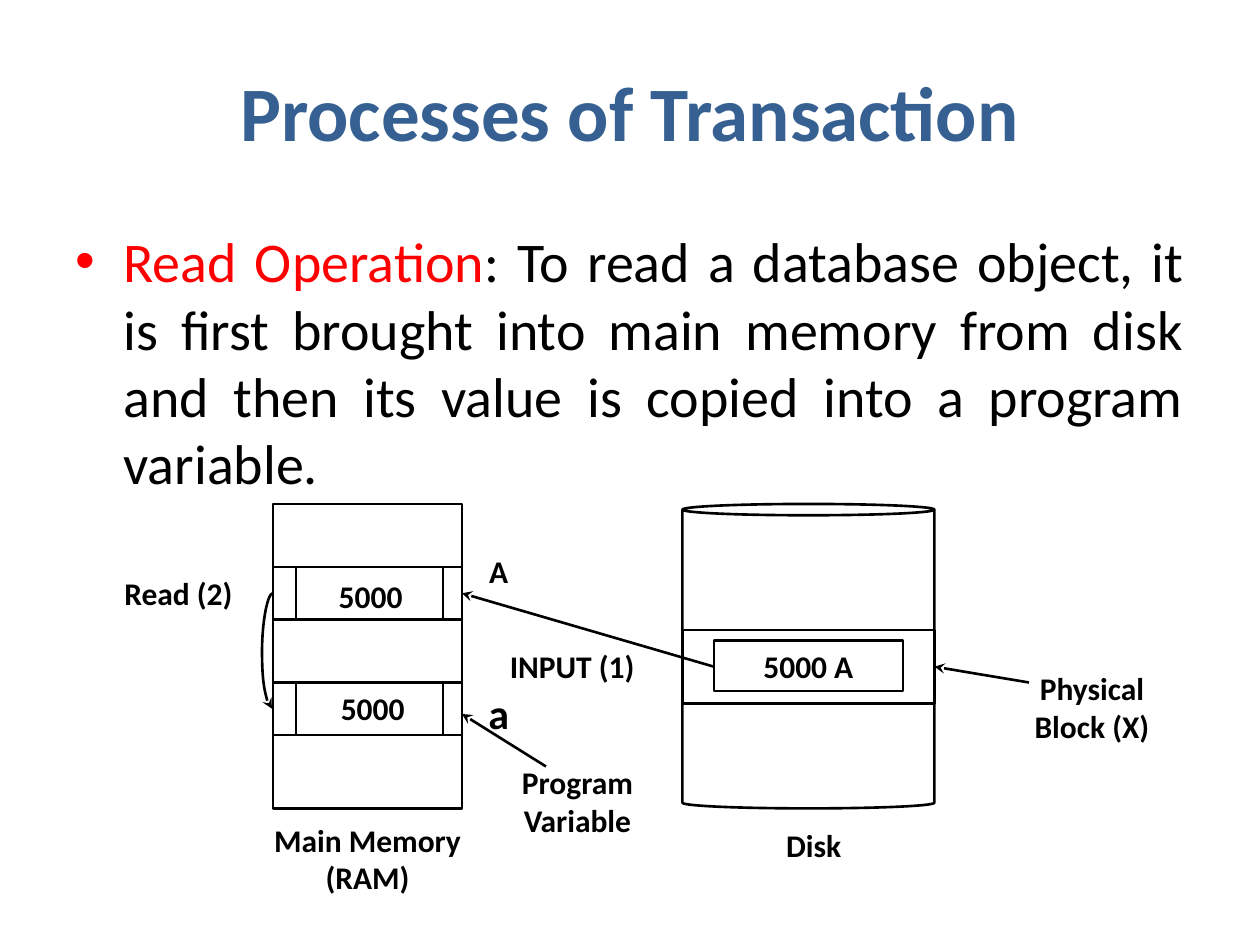
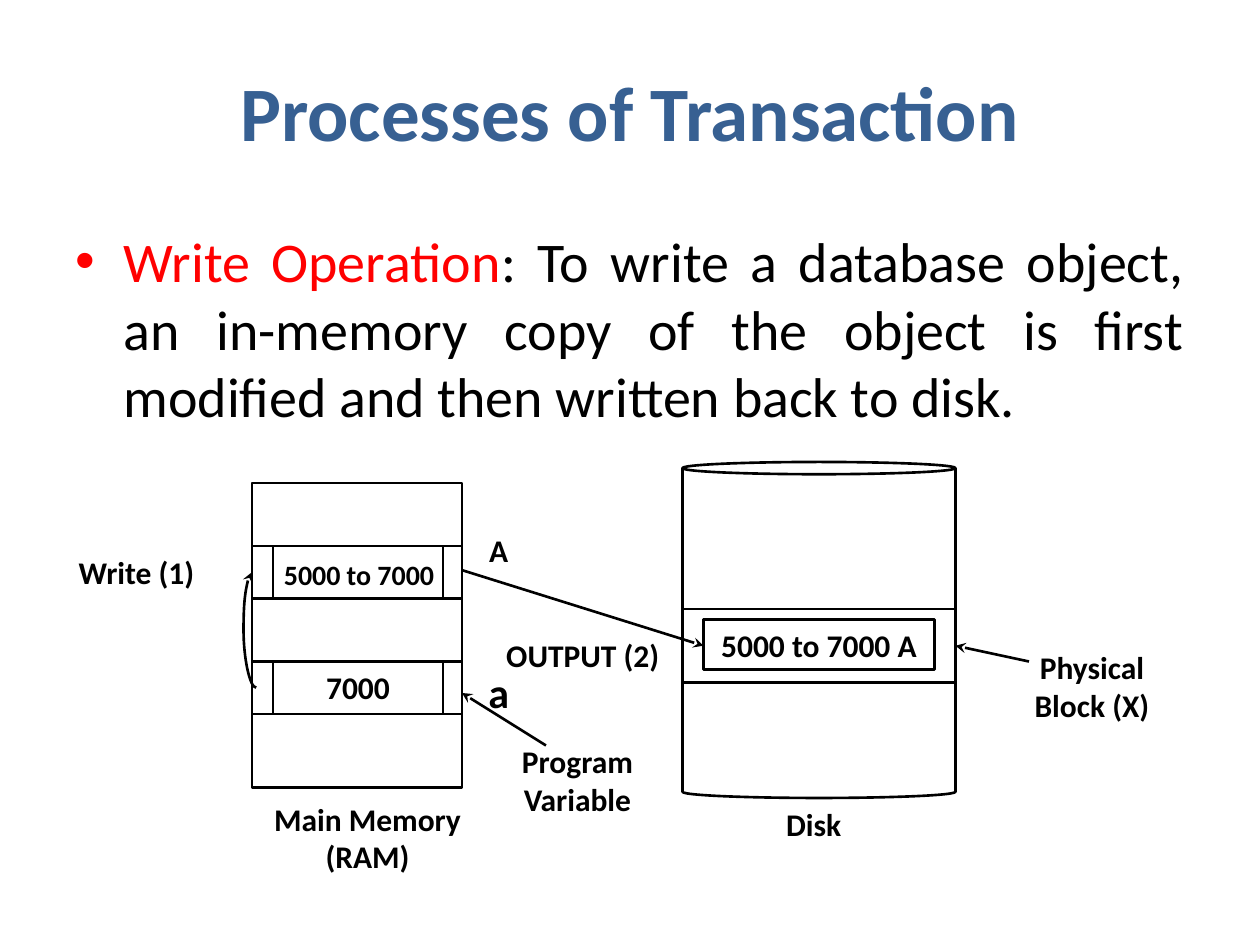
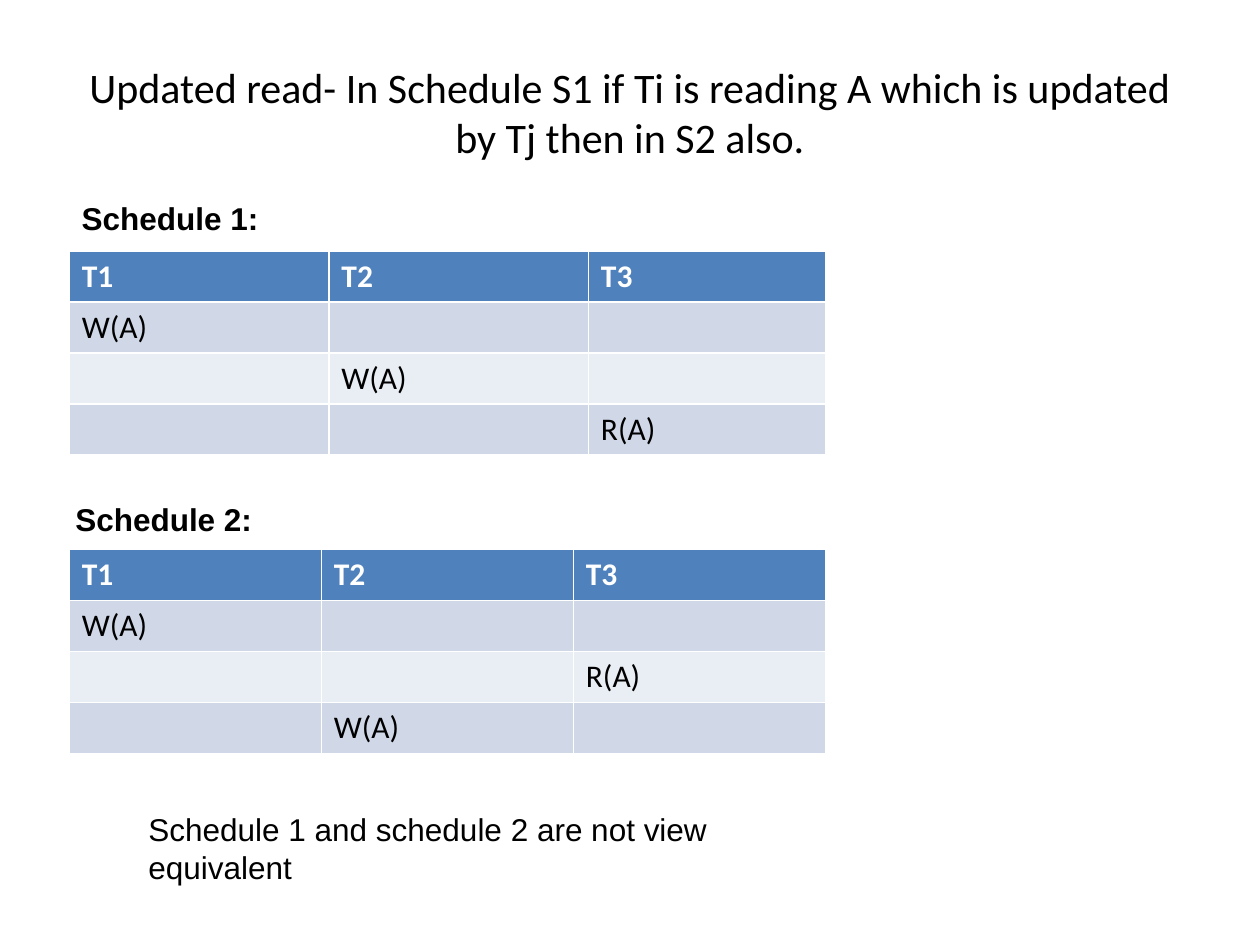
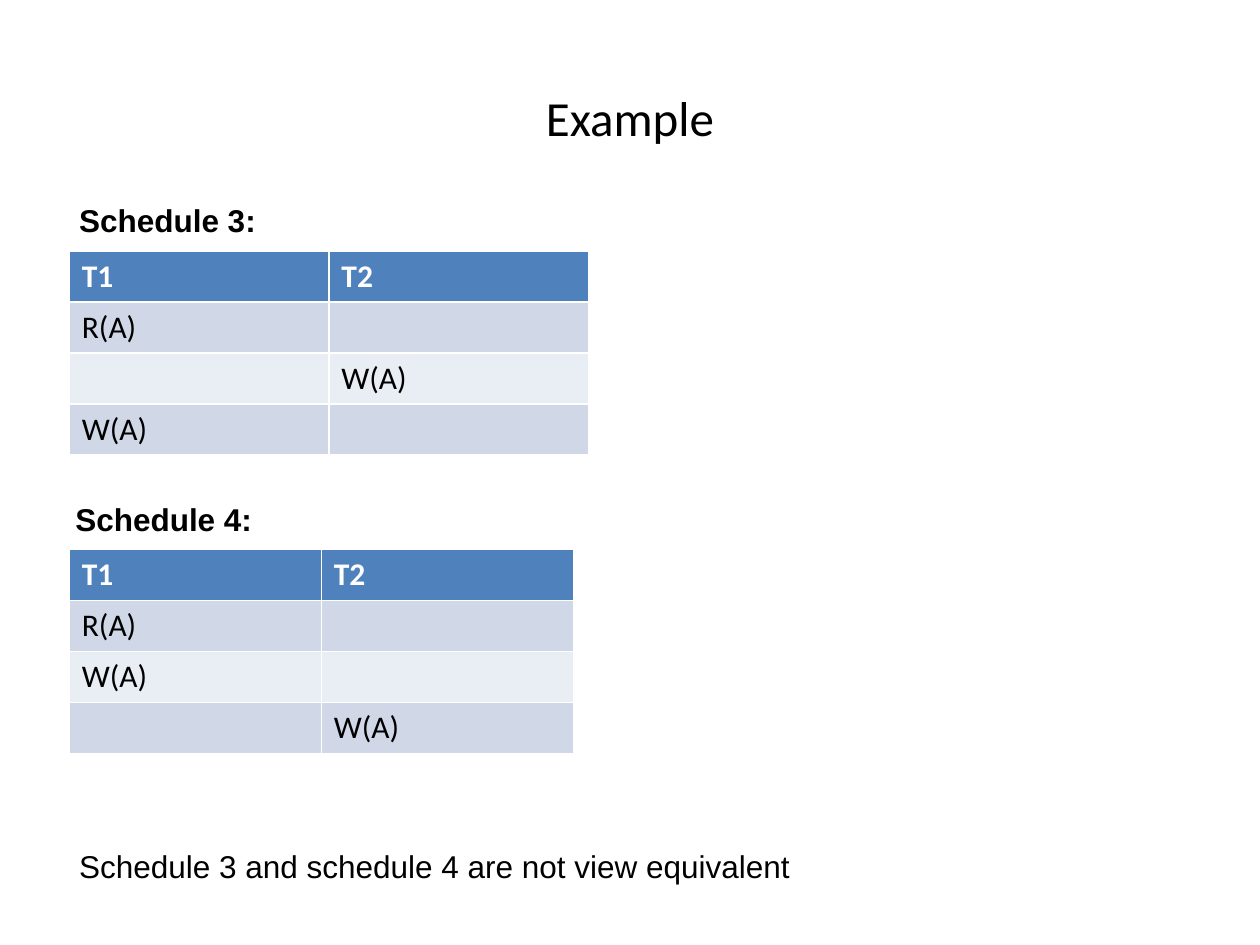
"""Build four slides on transaction operations and view equivalence."""
from lxml.etree import SubElement
from pptx import Presentation
from pptx.dml.color import RGBColor
from pptx.enum.shapes import MSO_CONNECTOR, MSO_SHAPE
from pptx.enum.text import MSO_ANCHOR, PP_ALIGN
from pptx.oxml.ns import qn
from pptx.util import Inches, Pt

COLORS = {"title": "376092", "term": "FF0000", "ink": "000000", "head": "4F81BD",
          "light": "FFFFFF", "odd": "D0D8E8", "even": "E9EDF4"}
COLS, ROWS = 120, 90
STEP = Inches(10) / COLS
TITLE = "Processes of Transaction"

OPERATIONS = [
    {"term": "Read Operation",
     "text": ": To read a database object, it is first brought into main memory "
             "from disk and then its value is copied into a program variable.",
     "top": 48, "memory": (26, 18), "cell": 28.2, "disk": (48, 24, 29),
     "block": (68, 18, "5000 A"), "flow": ((68, 15.5), (44, 8.5)),
     "curve": ((26, 8.5), (25.9, 19.5), 1.05),
     "labels": [("Read (2)", 9, 6.1, 16, 18), ("5000", 28.8, 6.4, 13, 18),
                ("5000", 29, 17, 13, 18), ("INPUT (1)", 45, 13, 19, 18)]},
    {"term": "Write Operation",
     "text": ": To write a database object, an in-memory copy of the object is "
             "first modified and then written back to disk.",
     "top": 46, "memory": (24, 20), "cell": 26, "disk": (44, 26, 32),
     "block": (67, 22, "5000 to 7000 A"), "flow": ((44, 8.3), (67, 15.5)),
     "curve": ((24.4, 19.5), (24, 8.5), 1.2),
     "labels": [("Write (1)", 5, 6.1, 16, 18), ("5000 to 7000", 25.2, 6.3, 18, 16),
                ("7000", 27.6, 17, 13, 18), ("OUTPUT (2)", 45, 14, 21, 18)]},
]
SHARED = [("Main Memory (RAM)", 24, 29.5, 22, 18), ("Physical Block (X)", 96, 15.1, 16, 18),
          ("Disk", 71, 30.1, 13, 18), ("Program Variable", 47, 24, 16, 18),
          ("A", 45, 4, 5, 18), ("a", 45, 16.8, 5, 24)]
TALL = {"Main Memory (RAM)": 8.5, "Physical Block (X)": 8.5, "Program Variable": 8.5, "a": 6.1}

SCHEDULES = [
    {"title": "Updated read- In Schedule S1 if Ti is reading A which is updated "
              "by Tj then in S2 also.",
     "size": 24, "top": 0.26,
     "tables": [("Schedule 1:", (0.55, 1.53), [2.06, 2.06, 1.88],
                 [["T1", "T2", "T3"], ["W(A)", "", ""], ["", "W(A)", ""], ["", "", "R(A)"]]),
                ("Schedule 2:", (0.5, 3.92), [2, 2, 2],
                 [["T1", "T2", "T3"], ["W(A)", "", ""], ["", "", "R(A)"], ["", "W(A)", ""]])],
     "note": ("Schedule 1 and schedule 2 are not view equivalent", 1.08, 6.38, 5, 0.71)},
    {"title": "Example", "size": 28, "top": 0.3,
     "tables": [("Schedule 3:", (0.53, 1.55), [2.06, 2.06],
                 [["T1", "T2"], ["R(A)", ""], ["", "W(A)"], ["W(A)", ""]]),
                ("Schedule 4:", (0.5, 3.92), [2, 2],
                 [["T1", "T2"], ["R(A)", ""], ["W(A)", ""], ["", "W(A)"]])],
     "note": ("Schedule 3 and schedule 4 are not view equivalent", 0.53, 6.67, 6.37, 0.4)},
]
TOPS = (1.99, 4.36)


def color(name):
    return RGBColor.from_string(COLORS[name])


def grid(*cells):
    return [round(cell * STEP) for cell in cells]


def write(frame, *parts, size=18, font="Calibri", ink="ink", bold=False,
          align=PP_ALIGN.LEFT, anchor=None):
    frame.word_wrap = True
    if anchor is not None:
        frame.vertical_anchor = anchor
    para = frame.paragraphs[0]
    para.alignment = align
    for part in parts:
        text, tint = part if isinstance(part, tuple) else (part, ink)
        run = para.add_run()
        run.text = text
        run.font.size, run.font.name, run.font.bold = Pt(size), font, bold
        run.font.color.rgb = color(tint)


def place(shape, *box):
    shape.left, shape.top, shape.width, shape.height = map(Inches, box)
    return shape.text_frame


def label(slide, text, box, **style):
    write(slide.shapes.add_textbox(*box).text_frame, text, **style)


def outline(slide, *cells, kind=MSO_SHAPE.RECTANGLE):
    shape = slide.shapes.add_shape(kind, *grid(*cells))
    shape.shadow.inherit = False
    shape.fill.background()
    shape.line.color.rgb = color("ink")
    shape.line.width = Pt(1.5)
    return shape


def arrow(slide, start, end, bend=0):
    kind = MSO_CONNECTOR.CURVE if bend else MSO_CONNECTOR.STRAIGHT
    line = slide.shapes.add_connector(kind, *grid(*start, *end))
    line.line.color.rgb = color("ink")
    line.line.width = Pt(1.5)
    SubElement(line.line._get_or_add_ln(), qn("a:tailEnd"), type="stealth")
    props = line._element.spPr
    SubElement(props, qn("a:effectLst"))
    if bend:
        share = round(bend / (start[0] - end[0]) * 100000)
        guides = props.find(qn("a:prstGeom")).get_or_add_avLst()
        SubElement(guides, qn("a:gd"), name="adj1", fmla=f"val {share}")


def diagram(slide, data):
    top = data["top"]
    left, width = data["memory"]
    outline(slide, left, top, width, 29)
    for row in (6, 17):
        outline(slide, left, top + row, width, 5)
        outline(slide, data["cell"], top + row, 42.2 - data["cell"], 5)
    crown, wide, high = data["disk"]
    can = outline(slide, 65, crown, wide, high, kind=MSO_SHAPE.CAN)
    can.adjustments[0] = 0.045
    outline(slide, 65, top + 12, wide, 7)
    x, span, value = data["block"]
    block = outline(slide, x, top + 13, span, 4.8)
    style = {"bold": True, "align": PP_ALIGN.CENTER, "anchor": MSO_ANCHOR.MIDDLE}
    write(block.text_frame, value, **style)
    for text, x, row, span, size in SHARED + data["labels"]:
        box = grid(x, top + row, span, TALL.get(text, 4.8))
        label(slide, text, box, size=size, **style)
    start, end, bend = data["curve"]
    links = [((98, 17), (65 + wide, 15.5), 0), ((52, 25), (44, 20), 0),
             (*data["flow"], 0), (start, end, bend)]
    for (x, row), (far, low), bend in links:
        arrow(slide, (x, top + row), (far, top + low), bend)


def bullet(frame):
    props = frame.paragraphs[0]._p.get_or_add_pPr()
    props.set("marL", str(Inches(0.38)))
    props.set("indent", str(-Inches(0.38)))
    tint = SubElement(props, qn("a:buClr"))
    SubElement(tint, qn("a:srgbClr"), val=COLORS["term"])
    SubElement(props, qn("a:buFont"), typeface="Arial")
    SubElement(props, qn("a:buChar"), char="•")


def table(slide, top, widths, rows):
    box = map(Inches, (0.55, top, sum(widths), 0.405 * len(rows)))
    made = slide.shapes.add_table(len(rows), len(widths), *box).table
    for col, width in zip(made.columns, widths):
        col.width = Inches(width)
    for r, row in enumerate(rows):
        fill = "head" if r == 0 else ("odd" if r % 2 else "even")
        for c, text in enumerate(row):
            cell = made.cell(r, c)
            cell.fill.solid()
            cell.fill.fore_color.rgb = color(fill)
            if text:
                write(cell.text_frame, text, bold=r == 0, ink="ink" if r else "light")


def main():
    deck = Presentation()
    deck.slide_width, deck.slide_height = grid(COLS, ROWS)
    for data in OPERATIONS:
        slide = deck.slides.add_slide(deck.slide_layouts[1])
        write(place(slide.shapes.title, 0.5, 0.25, 9, 1.25), TITLE, size=44,
              ink="title", bold=True, align=PP_ALIGN.CENTER, anchor=MSO_ANCHOR.MIDDLE)
        body = place(slide.placeholders[1], 0.5, 1.75, 9, 5.42)
        bullet(body)
        write(body, (data["term"], "term"), data["text"], size=32, align=PP_ALIGN.JUSTIFY)
        diagram(slide, data)
    for data in SCHEDULES:
        slide = deck.slides.add_slide(deck.slide_layouts[5])
        write(place(slide.shapes.title, 0.5, data["top"], 9, 1.25), data["title"],
              size=data["size"], align=PP_ALIGN.CENTER, anchor=MSO_ANCHOR.MIDDLE)
        for top, (name, spot, widths, rows) in zip(TOPS, data["tables"]):
            table(slide, top, widths, rows)
            label(slide, name, list(map(Inches, (*spot, 4, 0.4))), font="Arial", bold=True)
        text, *box = data["note"]
        label(slide, text, list(map(Inches, box)), font="Arial")
    deck.save("out.pptx")


if __name__ == "__main__":
    main()
